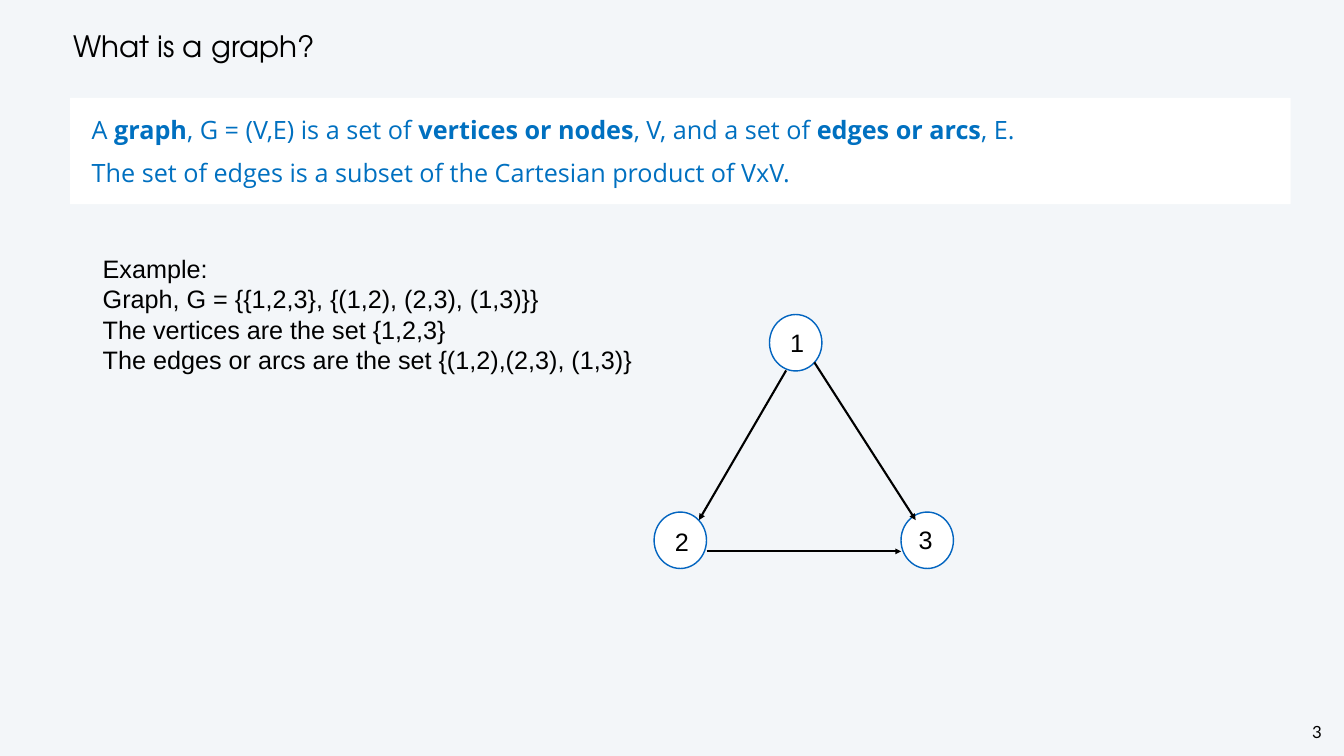
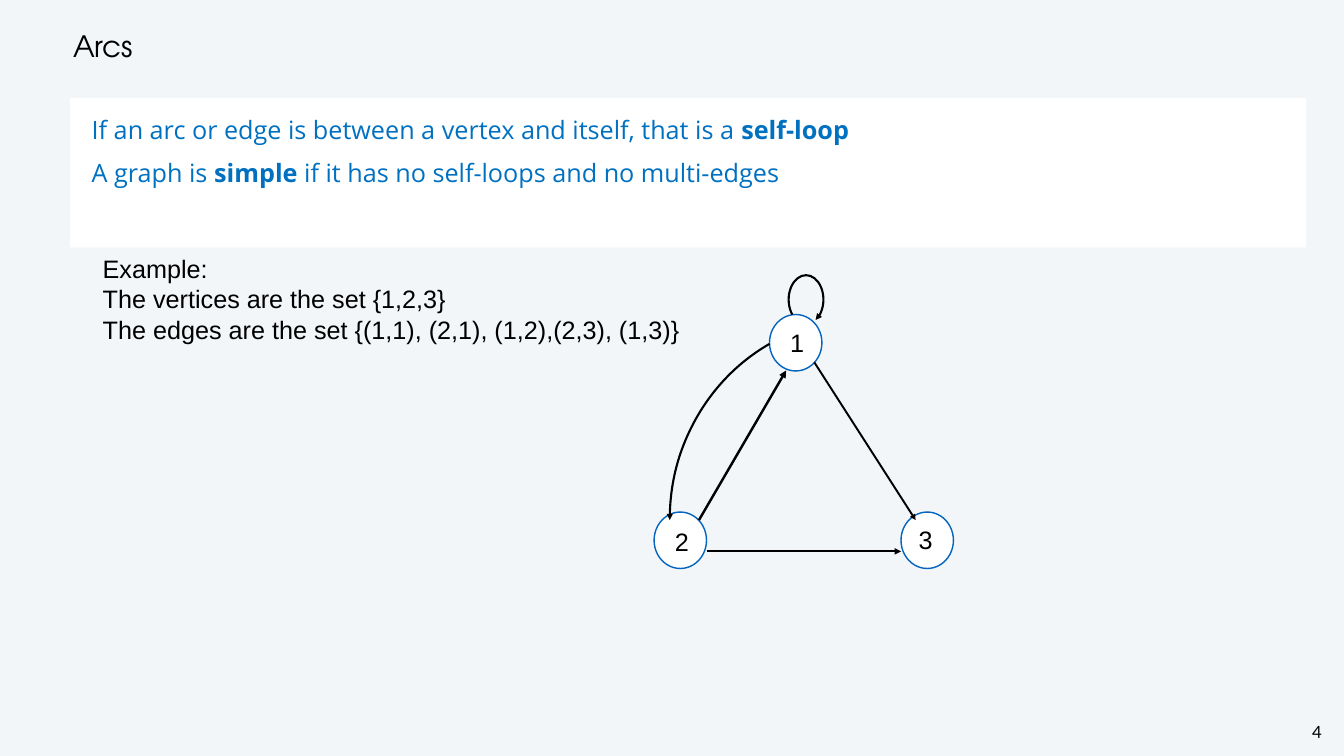
"""Two slides that introduce graphs: definition and arcs."""
from lxml import etree
from pptx import Presentation
from pptx import util as u
from pptx.dml.color import RGBColor
from pptx.enum import shapes, text
from pptx.oxml.ns import qn

BACKGROUND, WHITE, BLACK = "F3F6F9", "FFFFFF", "000000"
BLUE, OUTLINE = "0070C0", "0365C0"
TITLE_FONT, BODY_FONT, PLAIN_FONT, NUMBER_FONT = (
    "TeX Gyre Adventor", "Open Sans", "Arial", "Lato")

NODE_SIZE = (1.04, 1.12)
NODES = [(15.27, 6.24), (12.98, 10.16), (17.88, 10.16)]
LABEL_SIZE = (1.08, 0.72)
LABELS = [("3", 18.17, 10.34), ("2", 13.33, 10.38), ("1", 15.62, 6.43)]

# Where the straight edges touch the nodes
NODE_1_LEFT, NODE_1_RIGHT = (15.6, 7.35), (16.16, 7.19)
NODE_2_TOP, NODE_2_SIDE = (13.87, 10.32), (14.02, 10.94)
NODE_3_TOP, NODE_3_SIDE = (18.17, 10.32), (17.88, 10.94)


def color(value):
    """Turn a hex string into a colour."""
    return RGBColor.from_string(value)


def inches(*values):
    """Turn numbers into lengths in inches."""
    return [u.Inches(v) for v in values]


def set_frame(sp, inset=None, anchor=text.MSO_ANCHOR.TOP, wrap=True):
    """Set wrapping, anchor and equal insets; return the text frame."""
    tf = sp.text_frame
    tf.word_wrap = wrap
    tf.vertical_anchor = anchor
    if inset is not None:
        tf.margin_left = tf.margin_right = u.Inches(inset)
        tf.margin_top = tf.margin_bottom = u.Inches(inset)
    return tf


def write(tf, paragraphs, font, size, hue=BLACK, line=None, before=None,
          align=text.PP_ALIGN.LEFT, indent=None):
    """Write paragraphs; each is a list of runs, the odd ones in bold."""
    for i, runs in enumerate(paragraphs):
        p = tf.add_paragraph() if i else tf.paragraphs[0]
        p.alignment = align
        if line:
            p.line_spacing = u.Pt(line)
        if before:
            p.space_before = u.Pt(before)
        if indent:
            p._p.get_or_add_pPr().set("indent", str(u.Inches(indent)))
        for j, words in enumerate(runs):
            r = p.add_run()
            r.text = words
            r.font.name, r.font.size = font, u.Pt(size)
            r.font.bold = j % 2 == 1
            r.font.color.rgb = color(hue)


def add_shape(s, kind, at, fill=None, line=None, width=2):
    """Add a preset shape without shadow."""
    sp = s.shapes.add_shape(kind, *inches(*at))
    sp.shadow.inherit = False
    if fill:
        sp.fill.solid()
        sp.fill.fore_color.rgb = color(fill)
    else:
        sp.fill.background()
    if line:
        sp.line.color.rgb = color(line)
        sp.line.width = u.Pt(width)
    else:
        sp.line.fill.background()
    return sp


def add_arrowhead(sp):
    """Put a triangle at the end of a line or arc."""
    etree.SubElement(sp.line._get_or_add_ln(), qn("a:tailEnd"), type="triangle")


def add_edge(s, start, end, width):
    """Add a straight arrow."""
    line = s.shapes.add_connector(shapes.MSO_CONNECTOR.STRAIGHT,
                                  *inches(*start, *end))
    line.line.color.rgb = color(BLACK)
    line.line.width = u.Pt(width)
    add_arrowhead(line)
    etree.SubElement(line._element.spPr, qn("a:effectLst"))


def add_arc(s, at, angles, mirrored=False):
    """Add a curved arrow between two angles."""
    sp = add_shape(s, shapes.MSO_SHAPE.ARC, at, line=BLACK, width=3)
    sp.adjustments[0], sp.adjustments[1] = angles
    add_arrowhead(sp)
    if mirrored:
        sp._element.spPr.find(qn("a:xfrm")).set("flipH", "1")


def add_base(prs, title, number):
    """Add a slide with background, page number and title."""
    s = prs.slides.add_slide(prs.slide_layouts[6])
    s.background.fill.solid()
    s.background.fill.fore_color.rgb = color(BACKGROUND)
    sp = s.shapes.add_textbox(*inches(25.92, 14.29, 0.43, 0.47))
    write(set_frame(sp, 0.04, wrap=False), [[number]], NUMBER_FONT, 24,
          line=28, align=text.PP_ALIGN.CENTER)
    sp = s.shapes.add_textbox(*inches(1.39, 0.42, 22.62, 0.99))
    write(set_frame(sp, 0.06, text.MSO_ANCHOR.MIDDLE), [[title]],
          TITLE_FONT, 42, line=50, before=3)
    return s


def add_definition(s, width, height, paragraphs):
    """Add the white panel with the definition."""
    sp = add_shape(s, shapes.MSO_SHAPE.RECTANGLE, (1.39, 1.94, width, height),
                   WHITE)
    write(set_frame(sp, 0.33), paragraphs, BODY_FONT, 36, BLUE,
          line=43, before=18, indent=0.1)


def add_example(s, height, lines):
    """Add the example text."""
    sp = s.shapes.add_textbox(*inches(1.94, 4.98, 13.33, height))
    write(set_frame(sp), [[words] for words in lines], PLAIN_FONT, 36)


def add_graph(s, edges):
    """Add three numbered nodes and the straight edges between them."""
    for place in NODES:
        add_shape(s, shapes.MSO_SHAPE.OVAL, place + NODE_SIZE, WHITE, OUTLINE)
    for start, end, width in edges:
        add_edge(s, start, end, width)
    for label, x, y in LABELS:
        sp = s.shapes.add_textbox(*inches(x, y, *LABEL_SIZE))
        write(set_frame(sp, 0.06, text.MSO_ANCHOR.MIDDLE), [[label]],
              PLAIN_FONT, 36)


def add_graph_slide(prs):
    """Build the slide that defines a graph."""
    s = add_base(prs, "What is a graph?", "3")
    add_definition(s, 24.22, 2.11, [
        ["A ", "graph", ", G = (V,E) is a set of ", "vertices or nodes",
         ", V, and a set of ", "edges or arcs", ", E."],
        ["The set of edges is a subset of the Cartesian product of VxV."]])
    add_example(s, 2.52, [
        "Example:",
        "Graph, G = {{1,2,3}, {(1,2), (2,3), (1,3)}}",
        "The vertices are the set {1,2,3}",
        "The edges or arcs are the set {(1,2),(2,3), (1,3)}"])
    add_graph(s, [(NODE_1_LEFT, NODE_2_TOP, 3),
                  (NODE_2_SIDE, NODE_3_SIDE, 2.75),
                  (NODE_1_RIGHT, NODE_3_TOP, 3)])


def add_arcs_slide(prs):
    """Build the slide on self-loops and multi-edges."""
    s = add_base(prs, "Arcs", "4")
    add_definition(s, 24.53, 2.97, [
        ["If an arc or edge is between a vertex and itself, that is a ",
         "self-loop"],
        ["A graph is ", "simple ",
         "if it has no self-loops and no multi-edges"]])
    add_example(s, 1.92, [
        "Example:",
        "The vertices are the set {1,2,3}",
        "The edges are the set {(1,1), (2,1), (1,2),(2,3), (1,3)}"])
    add_graph(s, [(NODE_2_TOP, NODE_1_LEFT, 3.5),
                  (NODE_2_SIDE, NODE_3_SIDE, 3),
                  (NODE_1_RIGHT, NODE_3_TOP, 2.75)])
    add_arc(s, (15.65, 5.46, 0.69, 0.97), (79.32, 38.87))
    add_arc(s, (13.29, 6.33, 7.64, 7.98), (178.64, 0), mirrored=True)


def main():
    """Build and save the presentation."""
    prs = Presentation()
    prs.slide_width, prs.slide_height = inches(26.67, 15)
    add_graph_slide(prs)
    add_arcs_slide(prs)
    prs.save("out.pptx")


main()
